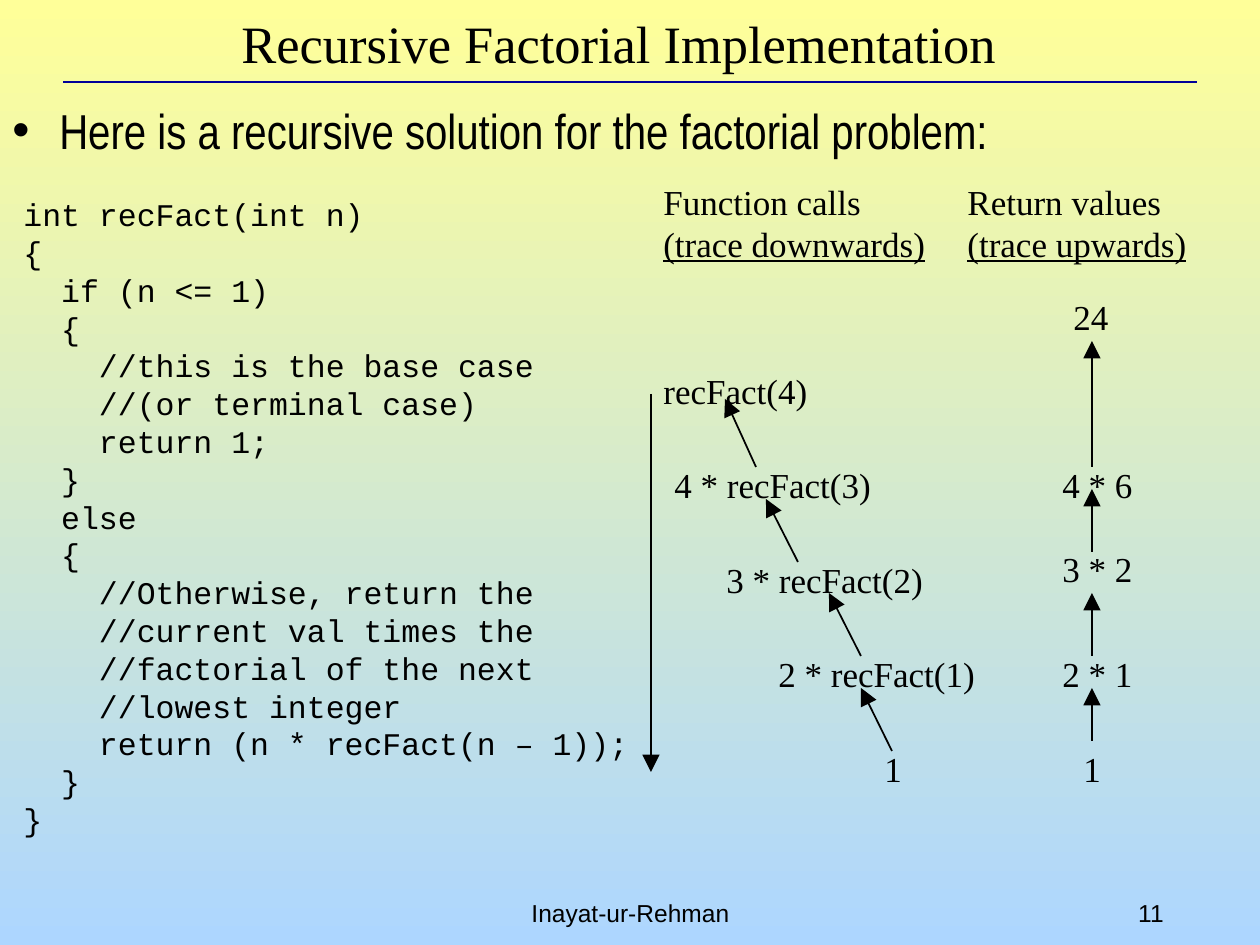
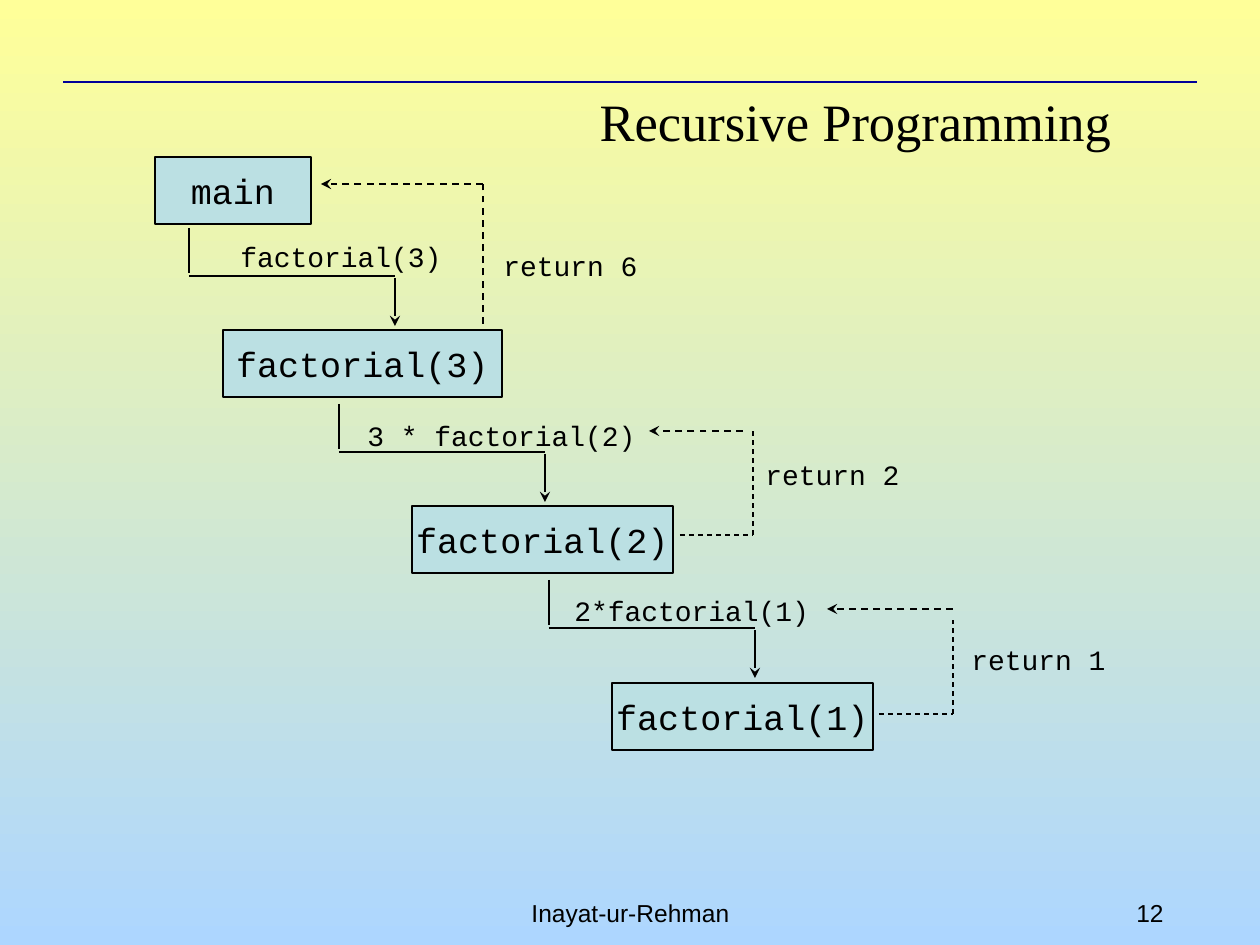
import pptx
import pptx.util
import pptx.dml.color
import pptx.enum.dml
import pptx.enum.shapes
import pptx.enum.text
import pptx.oxml.ns
from lxml import etree

PX = 914400 / 126
COLORS = {"text": "000000", "rule": "000099", "box": "BBE0E3",
          "sky_top": "FFFF99", "sky_bottom": "ADD6FF"}
SERIF, SANS, NARROW, MONO = "Times New Roman", "Arial", "Arial Narrow", "Courier New"
ALIGN = pptx.enum.text.PP_ALIGN
MIDDLE = pptx.enum.text.MSO_ANCHOR.MIDDLE

AUTHOR = "Inayat-ur-Rehman"
FACTORIAL = {"title": "Recursive Factorial Implementation", "title_at": (73, 0, 1092, 84), "number": 11}
TRACE = {"title": "Recursive Programming", "title_at": (451, 53, 809, 136), "number": 12}

INTRO = "Here is a recursive solution for the factorial problem:"
CODE = [
    (0, "int recFact(int n)"),
    (0, "{"),
    (1, "if (n <= 1)"),
    (1, "{"),
    (2, "//this is the base case"),
    (2, "//(or terminal case)"),
    (2, "return 1;"),
    (1, "}"),
    (1, "else"),
    (1, "{"),
    (2, "//Otherwise, return the"),
    (2, "//current val times the"),
    (2, "//factorial of the next"),
    (2, "//lowest integer"),
    (2, "return (n * recFact(n – 1));"),
    (1, "}"),
    (0, "}"),
]
HEADINGS = [
    (651, 290, ["Function calls", "(trace downwards)"]),
    (955, 248, ["Return values", "(trace upwards)"]),
]
CALLS = [(651, 172, "recFact(4)"), (662, 226, "4 * recFact(3)"), (714, 226, "3 * recFact(2)"),
         (766, 226, "2 * recFact(1)"), (872, 46, "1")]
CALL_TOP, CALL_STEP = 363, 94.5
VALUES = [(1061, 289, 64, "24"), (1050, 457, 100, "4 * 6"), (1050, 541, 100, "3 * 2"),
          (1050, 646, 100, "2 * 1"), (1071, 741, 46, "1")]
CALL_ARROWS = [(892, 751, 861, 688), (861, 656, 829, 593), (798, 562, 766, 499),
               (756, 467, 725, 399), (651, 394, 651, 772)]
VALUE_X = 1092
VALUE_ARROWS = [(741, 688), (656, 593), (552, 489), (467, 341)]

BOXES = [(155, 157, 156, "main"), (223, 330, 279, "factorial(3)"),
         (412, 506, 261, "factorial(2)"), (612, 683, 261, "factorial(1)")]
BOX_HEIGHT = 67
ELBOWS = [(189, 228), (339, 404), (549, 580)]
STEP_LABELS = [
    (228, 233, 230, "factorial(3)"),
    (355, 412, 298, "3 * factorial(2)"),
    (562, 587, 264, "2*factorial(1)"),
    (491, 242, 164, "return 6"),
    (753, 451, 164, "return 2"),
    (959, 636, 164, "return 1"),
]
RETURN_TAILS = [
    (1, [(483, 324), (483, 184)]),
    (0.75, [(680, 535), (753, 535), (753, 431)]),
    (0.75, [(879, 714), (953, 714), (953, 620)]),
]
RETURN_HEADS = [(483, 184, 321), (743, 431, 649), (953, 609, 827)]


def emu(*lengths):
    return [round(v * PX) for v in lengths]


def color(name):
    return pptx.dml.color.RGBColor.from_string(COLORS[name])


def write(sp, lines, size, font, align=ALIGN.LEFT, wrap=False, anchor=None):
    tf = sp.text_frame
    tf.word_wrap = wrap
    if anchor is not None:
        tf.vertical_anchor = anchor
    tf.text = "\n".join(lines)
    for p in tf.paragraphs:
        p.alignment = align
        p.line_spacing = pptx.util.Pt(round(size * 1.2, 1))
        p.font.size = pptx.util.Pt(size)
        p.font.name = font
        p.font.color.rgb = color("text")
    return tf


def add_text(s, at, lines, size, font, **style):
    return write(s.shapes.add_textbox(*emu(*at)), lines, size, font, **style)


def add_line(s, ends, weight=1, stroke="text", head=None, head_size="med", dashed=False):
    sp = s.shapes.add_connector(pptx.enum.shapes.MSO_CONNECTOR.STRAIGHT, *emu(*ends))
    sp.line.color.rgb = color(stroke)
    sp.line.width = pptx.util.Pt(weight)
    if dashed:
        sp.line.dash_style = pptx.enum.dml.MSO_LINE.DASH
    qn = pptx.oxml.ns.qn
    if head:
        etree.SubElement(sp.line._get_or_add_ln(), qn("a:tailEnd"),
                         type=head, w=head_size, len=head_size)
    etree.SubElement(sp._element.spPr, qn("a:effectLst"))


def add_slide(prs, content):
    s = prs.slides.add_slide(prs.slide_layouts[6])
    fill = s.background.fill
    fill.gradient()
    fill.gradient_angle = 270
    for stop, name in zip(fill.gradient_stops, ("sky_top", "sky_bottom")):
        stop.color.rgb = color(name)
    add_line(s, (63, 82, 1197, 82), 0.75, "rule")
    add_text(s, (431, 892, 399, 43), [AUTHOR], 14, SANS, align=ALIGN.CENTER, wrap=True)
    add_text(s, (882, 892, 294, 43), [str(content["number"])], 14, SANS, align=ALIGN.RIGHT, wrap=True)
    add_text(s, content["title_at"], [content["title"]], 30, SERIF,
             align=ALIGN.CENTER, wrap=True, anchor=MIDDLE)
    return s


def indent(p, left, first=0):
    pPr = p._p.get_or_add_pPr()
    pPr.set("marL", str(emu(left)[0]))
    pPr.set("indent", str(emu(first)[0]))
    return pPr


def build_factorial(prs):
    s = add_slide(prs, FACTORIAL)
    p = add_text(s, (0, 94, 1260, 750), [INTRO], 28, NARROW, wrap=True).paragraphs[0]
    p.space_before = pptx.util.Pt(3.5)
    pPr = indent(p, 47, -47)
    for tag, attrs in (("a:buFont", {"typeface": SANS}), ("a:buChar", {"char": "•"})):
        bullet = etree.Element(pptx.oxml.ns.qn(tag), attrs)
        pPr.insert_element_before(bullet, "a:tabLst", "a:defRPr", "a:extLst")

    tf = add_text(s, (11, 189, 640, 655), [text for _, text in CODE], 18, MONO)
    for p, (level, _) in zip(tf.paragraphs, CODE):
        indent(p, level * 37.8)

    for x, width, lines in HEADINGS:
        tf = add_text(s, (x, 174, width, 97), lines, 20, SERIF)
        tf.paragraphs[1].font.underline = True
    calls = [(x, CALL_TOP + i * CALL_STEP, w, text) for i, (x, w, text) in enumerate(CALLS)]
    for x, y, width, text in calls + VALUES:
        add_text(s, (x, y, width, 55), [text], 20, SERIF)
    for ends in CALL_ARROWS + [(VALUE_X, y1, VALUE_X, y2) for y1, y2 in VALUE_ARROWS]:
        add_line(s, ends, head="triangle", head_size="lg")


def build_trace(prs):
    s = add_slide(prs, TRACE)
    for x, y, width, text in BOXES:
        sp = s.shapes.add_shape(pptx.enum.shapes.MSO_SHAPE.RECTANGLE, *emu(x, y, width, BOX_HEIGHT))
        sp.shadow.inherit = False
        sp.fill.solid()
        sp.fill.fore_color.rgb = color("box")
        sp.line.color.rgb = color("text")
        sp.line.width = pptx.util.Pt(1)
        write(sp, [text], 20, MONO, align=ALIGN.CENTER, anchor=MIDDLE)
    for x, y in ELBOWS:
        add_line(s, (x, y, x, y + 45))
        add_line(s, (x, y + 48, x + 206, y + 48))
        add_line(s, (x + 206, y + 50, x + 206, y + 98), head="stealth")
    for x, y, width, text in STEP_LABELS:
        add_text(s, (x, y, width, 47), [text], 16, MONO)
    for weight, points in RETURN_TAILS:
        for start, end in zip(points, points[1:]):
            add_line(s, start + end, weight, dashed=True)
    for x, y, x_end in RETURN_HEADS:
        add_line(s, (x, y, x_end, y), head="stealth", dashed=True)


def main():
    prs = pptx.Presentation()
    prs.slide_width, prs.slide_height = emu(1260, 945)
    build_factorial(prs)
    build_trace(prs)
    prs.save("out.pptx")


if __name__ == "__main__":
    main()
